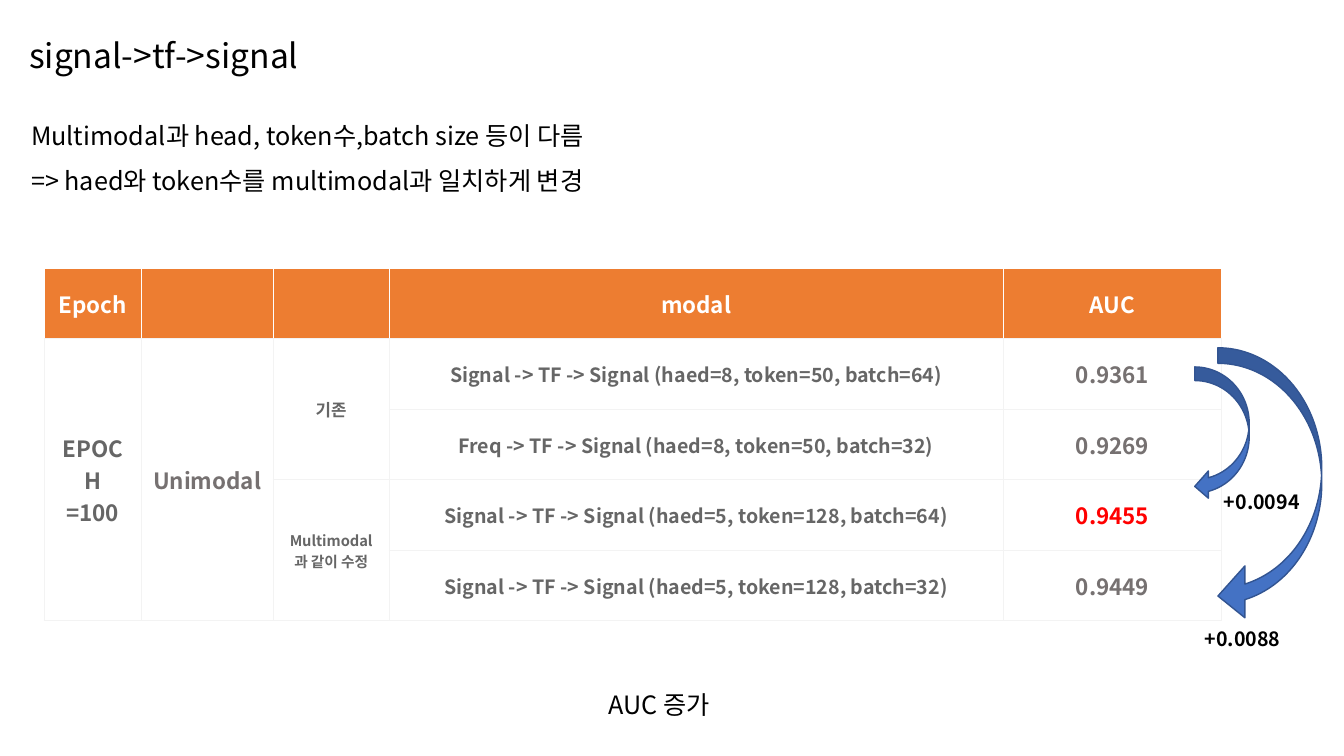
import lxml.etree
import pptx
import pptx.dml.color
import pptx.enum.shapes
import pptx.enum.text
import pptx.oxml
import pptx.oxml.ns
import pptx.util
from dataclasses import dataclass
from pptx.util import Inches

ALIGN = pptx.enum.text.PP_ALIGN
ANCHOR = pptx.enum.text.MSO_ANCHOR


@dataclass(frozen=True)
class Theme:
    """Colours, font and type sizes of the slide."""
    font: str = "Noto Sans CJK KR"
    black: str = "000000"
    white: str = "FFFFFF"
    grey: str = "666666"
    warm_grey: str = "767171"
    best: str = "FF0000"
    header: str = "ED7D31"
    border: str = "F3F3F3"
    arrow: str = "4472C4"
    arrow_line: str = "325491"
    title: float = 24
    body: float = 18
    cell: float = 16
    detail: float = 14
    group: float = 12
    small_group: float = 10.5


THEME = Theme()

COLUMN_WIDTHS = [0.96, 1.31, 1.15, 6.09, 2.17]
ROW_HEIGHT = 0.7
HEADERS = {0: "Epoch", 3: "modal", 4: "AUC"}
# first row, last row, column, lines, size, colour
GROUPS = [
    (1, 4, 0, ["EPOCH", "=100"], THEME.cell, THEME.grey),
    (1, 4, 1, ["Unimodal"], THEME.cell, THEME.warm_grey),
    (1, 2, 2, ["기존"], THEME.group, THEME.grey),
    (3, 4, 2, ["Multimodal과 같이 수정"], THEME.small_group, THEME.grey),
]
RESULTS = [
    ("Signal", 8, 50, 64, "0.9361"),
    ("Freq", 8, 50, 32, "0.9269"),
    ("Signal", 5, 128, 64, "0.9455"),
    ("Signal", 5, 128, 32, "0.9449"),
]


def rgb(colour):
    """Turn a hex string into a colour."""
    return pptx.dml.color.RGBColor.from_string(colour)


def write(frame, lines, size, colour=THEME.black, bold=False, align=ALIGN.LEFT, spacing=None):
    """Write each line as a paragraph of one run."""
    for index, line in enumerate(lines):
        paragraph = frame.paragraphs[0] if index == 0 else frame.add_paragraph()
        paragraph.alignment = align
        if spacing:
            paragraph.line_spacing = spacing
        run = paragraph.add_run()
        run.text = line
        run.font.size = pptx.util.Pt(size)
        run.font.bold = bold
        run.font.name = THEME.font
        run.font.color.rgb = rgb(colour)
        east_asian = lxml.etree.SubElement(run.font._element, pptx.oxml.ns.qn("a:ea"))
        east_asian.set("typeface", THEME.font)


def add_text(slide, box, lines, size, anchor=ANCHOR.TOP, **style):
    """Add a wrapping text box."""
    frame = slide.shapes.add_textbox(*map(Inches, box)).text_frame
    frame.word_wrap = True
    frame.vertical_anchor = anchor
    write(frame, lines, size, **style)


def style_cell(cell, fill, sides):
    """Fill a cell and draw hairlines on the given sides."""
    cell.fill.solid()
    cell.fill.fore_color.rgb = rgb(fill)
    cell.vertical_anchor = ANCHOR.MIDDLE
    cell.margin_left = cell.margin_right = Inches(0.1)
    cell.margin_top = cell.margin_bottom = Inches(0.1)
    properties = cell._tc.get_or_add_tcPr()
    for index, side in enumerate(sides):
        line = pptx.oxml.parse_xml(
            f'<a:ln{side} {pptx.oxml.ns.nsdecls("a")} w="9525"><a:solidFill>'
            f'<a:srgbClr val="{THEME.border}"/></a:solidFill></a:ln{side}>')
        properties.insert(index, line)


def add_results_table(slide):
    """Add the AUC table with its merged group cells."""
    rows, columns = len(RESULTS) + 1, len(COLUMN_WIDTHS)
    table = slide.shapes.add_table(
        rows, columns, Inches(0.44), Inches(2.66),
        Inches(sum(COLUMN_WIDTHS)), Inches(rows * ROW_HEIGHT)).table
    for column, width in zip(table.columns, COLUMN_WIDTHS):
        column.width = Inches(width)
    for index, row in enumerate(table.rows):
        row.height = Inches(ROW_HEIGHT)
        for cell in row.cells:
            if index == 0:
                style_cell(cell, THEME.header, "B")
            else:
                style_cell(cell, THEME.white, "LRTB")

    def fill_cell(row, column, lines, size, colour):
        write(table.cell(row, column).text_frame, lines, size, colour, True, ALIGN.CENTER)

    for column, label in HEADERS.items():
        fill_cell(0, column, [label], THEME.cell, THEME.white)
    for first, last, column, lines, size, colour in GROUPS:
        table.cell(first, column).merge(table.cell(last, column))
        fill_cell(first, column, lines, size, colour)
    best_auc = max(result[-1] for result in RESULTS)
    for row, (source, head, token, batch, auc) in enumerate(RESULTS, 1):
        modal = f"{source} -> TF -> Signal (haed={head}, token={token}, batch={batch})"
        fill_cell(row, 3, [modal], THEME.detail, THEME.grey)
        fill_cell(row, 4, [auc], THEME.cell,
                  THEME.best if auc == best_auc else THEME.warm_grey)


def add_gain(slide, arrow_box, adjustments, label_box, gain):
    """Add a curved arrow and the AUC gain it stands for."""
    arrow = slide.shapes.add_shape(
        pptx.enum.shapes.MSO_SHAPE.CURVED_LEFT_ARROW, *map(Inches, arrow_box))
    for index, value in enumerate(adjustments):
        arrow.adjustments[index] = value
    arrow.shadow.inherit = False
    arrow.fill.solid()
    arrow.fill.fore_color.rgb = rgb(THEME.arrow)
    arrow.line.color.rgb = rgb(THEME.arrow_line)
    arrow.line.width = pptx.util.Pt(1)
    add_text(slide, label_box, [gain], THEME.detail, bold=True)


def main():
    """Build and save the slide."""
    deck = pptx.Presentation()
    deck.slide_width, deck.slide_height = Inches(13.33), Inches(7.5)
    slide = deck.slides.add_slide(deck.slide_layouts[6])

    add_text(slide, (0.19, -0.15, 11.5, 1.45), ["signal->tf->signal"],
             THEME.title, ANCHOR.MIDDLE, spacing=0.9)
    add_results_table(slide)
    add_text(slide, (0.21, 0.99, 13.14, 0.95),
             ["Multimodal과 head, token수,batch size 등이 다름",
              "=> haed와 token수를 multimodal과 일치하게 변경"],
             THEME.body, spacing=1.5)
    add_gain(slide, (11.85, 3.64, 0.54, 1.32), (0.25, 0.5, 0.25),
             (12.04, 4.81, 1.31, 0.34), "+0.0094")
    add_gain(slide, (12.08, 3.45, 1.03, 2.72), (0.15, 0.5, 0.26),
             (11.85, 6.17, 1.42, 0.34), "+0.0088")
    add_text(slide, (5.94, 6.64, 2.61, 0.5), ["AUC 증가"], THEME.body, spacing=1.5)

    deck.save("out.pptx")


main()
